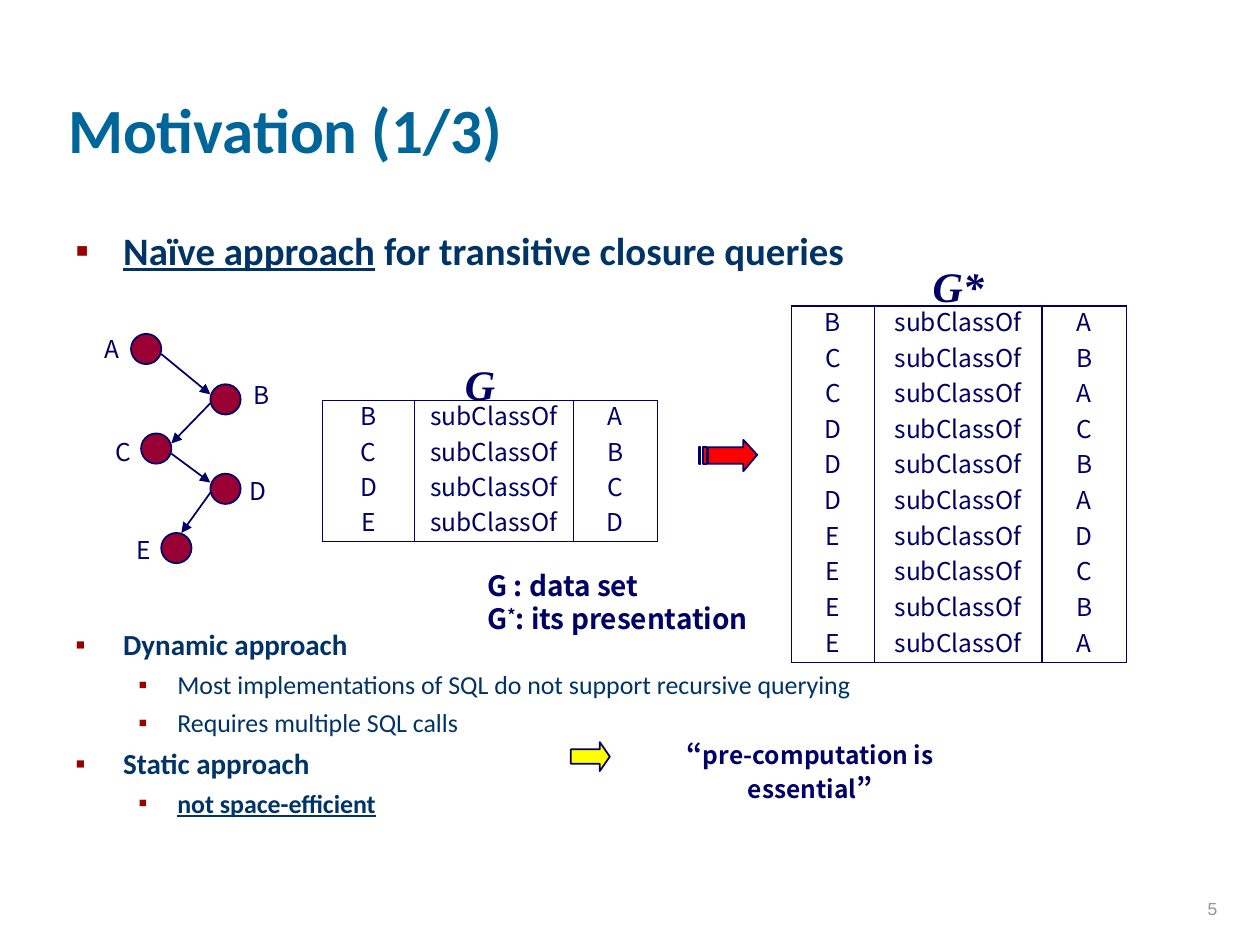
from lxml import etree
from pptx import Presentation
from pptx.dml.color import RGBColor
from pptx.enum.shapes import MSO_CONNECTOR, MSO_SHAPE
from pptx.enum.text import MSO_ANCHOR, PP_ALIGN
from pptx.oxml.ns import qn
from pptx.util import Inches, Pt

LEFT, CENTER, RIGHT = PP_ALIGN.LEFT, PP_ALIGN.CENTER, PP_ALIGN.RIGHT
TOP, MIDDLE, BOTTOM = MSO_ANCHOR.TOP, MSO_ANCHOR.MIDDLE, MSO_ANCHOR.BOTTOM
ELLIPSE, RIGHT_ARROW = MSO_SHAPE.OVAL, MSO_SHAPE.RIGHT_ARROW
STRAIGHT = MSO_CONNECTOR.STRAIGHT
COLORS = {"title": "006699", "body": "003366", "bullet": "990000", "ink": "000066",
          "node": "990033", "red": "FF0000", "yellow": "FFFF00", "number": "969696"}
SANS, LABEL, SERIF = "Calibri", "Noto Sans CJK KR", "Times New Roman"


class SlideBuilder:
    def __init__(self, slide):
        self.slide = slide
        self.shapes = slide.shapes

    def color(self, name):
        return RGBColor.from_string(COLORS[name])

    def set_font(self, font, size, name=LABEL, color="ink", bold=False, italic=False):
        font.size, font.name = Pt(size), name
        font.bold, font.italic = bold, italic
        font.color.rgb = self.color(color)

    def title(self, text, left, top, width, height):
        title = self.shapes.title
        title.left, title.top = Inches(left), Inches(top)
        title.width, title.height = Inches(width), Inches(height)
        title.text_frame.text = text
        title.text_frame.vertical_anchor = BOTTOM
        paragraph = title.text_frame.paragraphs[0]
        paragraph.alignment = LEFT
        self.set_font(paragraph.font, 36, SANS, "title", bold=True)

    def frame(self, left, top, width, height, wrap=False, anchor=TOP):
        box = self.shapes.add_textbox(Inches(left), Inches(top), Inches(width), Inches(height))
        box.text_frame.word_wrap = wrap
        box.text_frame.vertical_anchor = anchor
        return box.text_frame

    def text(self, text, left, top, width, height, size=14, align=CENTER, anchor=TOP, **style):
        paragraph = self.frame(left, top, width, height, anchor=anchor).paragraphs[0]
        paragraph.text = text
        paragraph.alignment = align
        self.set_font(paragraph.font, size, **style)

    def bullet(self, paragraph, margin, hanging):
        properties = paragraph._p.get_or_add_pPr()
        properties.set("marL", str(Inches(margin)))
        properties.set("indent", str(-Inches(hanging)))
        color = etree.SubElement(properties, qn("a:buClr"))
        etree.SubElement(color, qn("a:srgbClr"), val=COLORS["bullet"])
        etree.SubElement(properties, qn("a:buFont"), typeface="Arial")
        etree.SubElement(properties, qn("a:buChar"), char="▪")

    def bullets(self, items, left, top, width, height):
        frame = self.frame(left, top, width, height, wrap=True)
        for index, (level, size, before, bold, runs) in enumerate(items):
            paragraph = frame.add_paragraph() if index else frame.paragraphs[0]
            paragraph.level = level
            self.bullet(paragraph, *((0.81, 0.31) if level else (0.38, 0.38)))
            paragraph.space_before = Pt(before)
            self.set_font(paragraph.font, size, SANS, "body", bold)
            for text, underline in runs:
                run = paragraph.add_run()
                run.text = text
                run.font.underline = underline

    def outline(self, shape, fill):
        shape.shadow.inherit = False
        shape.fill.solid()
        shape.fill.fore_color.rgb = self.color(fill)
        shape.line.color.rgb = self.color("ink")
        shape.line.width = Pt(1)

    def shape(self, kind, fill, left, top, width, height):
        shape = self.shapes.add_shape(kind, Inches(left), Inches(top), Inches(width), Inches(height))
        self.outline(shape, fill)
        return shape

    def freeform(self, fill, contours):
        builder = None
        for contour in contours:
            start, *rest = [(Inches(x), Inches(y)) for x, y in contour]
            if builder is None:
                builder = self.shapes.build_freeform(*start)
            else:
                builder.move_to(*start)
            builder.add_line_segments(rest, close=True)
        self.outline(builder.convert_to_shape(), fill)

    def arrow(self, start, end):
        points = [Inches(value) for value in (*start, *end)]
        connector = self.shapes.add_connector(STRAIGHT, *points)
        connector.line.color.rgb = self.color("ink")
        connector.line.width = Pt(1)
        line = connector.line._get_or_add_ln()
        etree.SubElement(line, qn("a:tailEnd"), type="triangle")
        etree.SubElement(connector._element.spPr, qn("a:effectLst"))

    def borders(self, cell, visible):
        properties = cell._tc.get_or_add_tcPr()
        for index, side in enumerate(("L", "R", "T", "B")):
            line = etree.Element(qn(f"a:ln{side}"), w=str(Pt(1)))
            if side in visible:
                fill = etree.SubElement(line, qn("a:solidFill"))
                etree.SubElement(fill, qn("a:srgbClr"), val=COLORS["ink"])
            else:
                etree.SubElement(line, qn("a:noFill"))
            properties.insert(index, line)

    def table(self, rows, left, top, widths, height):
        frame = self.shapes.add_table(len(rows), len(widths), Inches(left), Inches(top),
                                      Inches(sum(widths)), Inches(height))
        table = frame.table
        table.first_row = table.horz_banding = False
        for column, width in zip(table.columns, widths):
            column.width = Inches(width)
        for row_index, (subclass, superclass) in enumerate(rows):
            table.rows[row_index].height = Inches(height / len(rows))
            for column_index, text in enumerate((subclass, "subClassOf", superclass)):
                cell = table.cell(row_index, column_index)
                cell.text = text
                cell.margin_left = cell.margin_right = cell.margin_top = cell.margin_bottom = 0
                cell.vertical_anchor = MIDDLE
                cell.fill.background()
                top_side = "T" if row_index == 0 else ""
                bottom_side = "B" if row_index == len(rows) - 1 else ""
                self.borders(cell, "LR" + top_side + bottom_side)
                paragraph = cell.text_frame.paragraphs[0]
                paragraph.alignment = CENTER
                paragraph.line_spacing = 0.7
                self.set_font(paragraph.font, 14)


def main():
    presentation = Presentation()
    presentation.slide_width, presentation.slide_height = Inches(10), Inches(7.5)
    builder = SlideBuilder(presentation.slides.add_slide(presentation.slide_layouts[5]))

    # Title and bullets; the wide gap leaves room for the diagram
    builder.title("Motivation (1/3)", 0.44, 0.12, 8.5, 1.25)
    builder.bullets([
        (0, 22.2, 0, True, [("Naïve approach", True),
                            (" for transitive closure queries", False)]),
        (0, 16.6, 202, True, [("Dynamic approach", False)]),
        (1, 14.8, 4, False,
         [("Most implementations of SQL do not support recursive querying", False)]),
        (1, 14.8, 4, False, [("Requires multiple SQL calls", False)]),
        (0, 16.6, 4.5, True, [("Static approach", False)]),
        (1, 14.8, 4, True, [("not space-efficient", True)]),
    ], 0.5, 1.75, 8.94, 4.88)

    # Data set G and its closure G*
    builder.table(["BA", "CB", "DC", "ED"], 2.56, 3.18, (0.73, 1.26, 0.67), 1.12)
    builder.table(["BA", "CB", "CA", "DC", "DB", "DA", "ED", "EC", "EB", "EA"],
                  6.28, 2.43, (0.66, 1.33, 0.67), 2.83)
    for text, left, top, width in (("G", 3.59, 2.8, 0.44), ("G*", 7.3, 2.02, 0.61)):
        builder.text(text, left, top, width, 0.5, size=24, name=SERIF, bold=True, italic=True)

    # Striped arrow from G to G*
    stripes = [[(left, 3.55), (right, 3.55), (right, 3.68), (left, 3.68)]
               for left, right in ((5.55, 5.56), (5.58, 5.61))]
    head = [(5.62, 3.55), (5.9, 3.55), (5.9, 3.49), (6.01, 3.61),
            (5.9, 3.74), (5.9, 3.68), (5.62, 3.68)]
    builder.freeform("red", [head, *stripes])

    # Conclusion
    arrow = builder.shape(RIGHT_ARROW, "yellow", 4.53, 5.89, 0.31, 0.23)
    arrow.adjustments[1] = 0.345
    conclusion = builder.frame(4.84, 5.8, 3.18, 0.64, wrap=True)
    conclusion.margin_left = conclusion.margin_right = Inches(0.4)
    paragraph = conclusion.paragraphs[0]
    paragraph.alignment = CENTER
    for text, size in (("“", 16), ("pre-computation is essential", 14), ("”", 16)):
        run = paragraph.add_run()
        run.text = text
        builder.set_font(run.font, size, bold=True)

    # Legend
    legend = builder.frame(3.77, 4.46, 2.32, 0.64)
    legend.text = "G : data set\nG"
    for paragraph in legend.paragraphs:
        builder.set_font(paragraph.font, 16, bold=True)
    star = legend.paragraphs[1].add_run()
    star.text = "*"
    star.font._element.set("baseline", "30000")
    legend.paragraphs[1].add_run().text = ": its presentation"

    # Class graph: node corner, then label corner
    nodes = {"A": (1.04, 2.65, 0.73, 2.6), "B": (1.67, 3.05, 1.91, 2.97),
             "C": (1.12, 3.44, 0.82, 3.42), "D": (1.67, 3.76, 1.88, 3.73),
             "E": (1.28, 4.23, 0.98, 4.2)}
    for name, (left, top, label_left, label_top) in nodes.items():
        builder.shape(ELLIPSE, "node", left, top, 0.24, 0.24)
        builder.text(name, label_left, label_top, 0.32, 0.34)
    for start, end in (((1.28, 2.81), (1.67, 3.13)), ((1.67, 3.2), (1.36, 3.52)),
                       ((1.36, 3.6), (1.67, 3.83)), ((1.67, 3.91), (1.44, 4.23))):
        builder.arrow(start, end)

    # Slide number
    builder.text("5", 7.68, 6.84, 2.08, 0.5, size=10, align=RIGHT, anchor=BOTTOM,
                 name="Arial", color="number")
    presentation.save("out.pptx")


if __name__ == "__main__":
    main()
